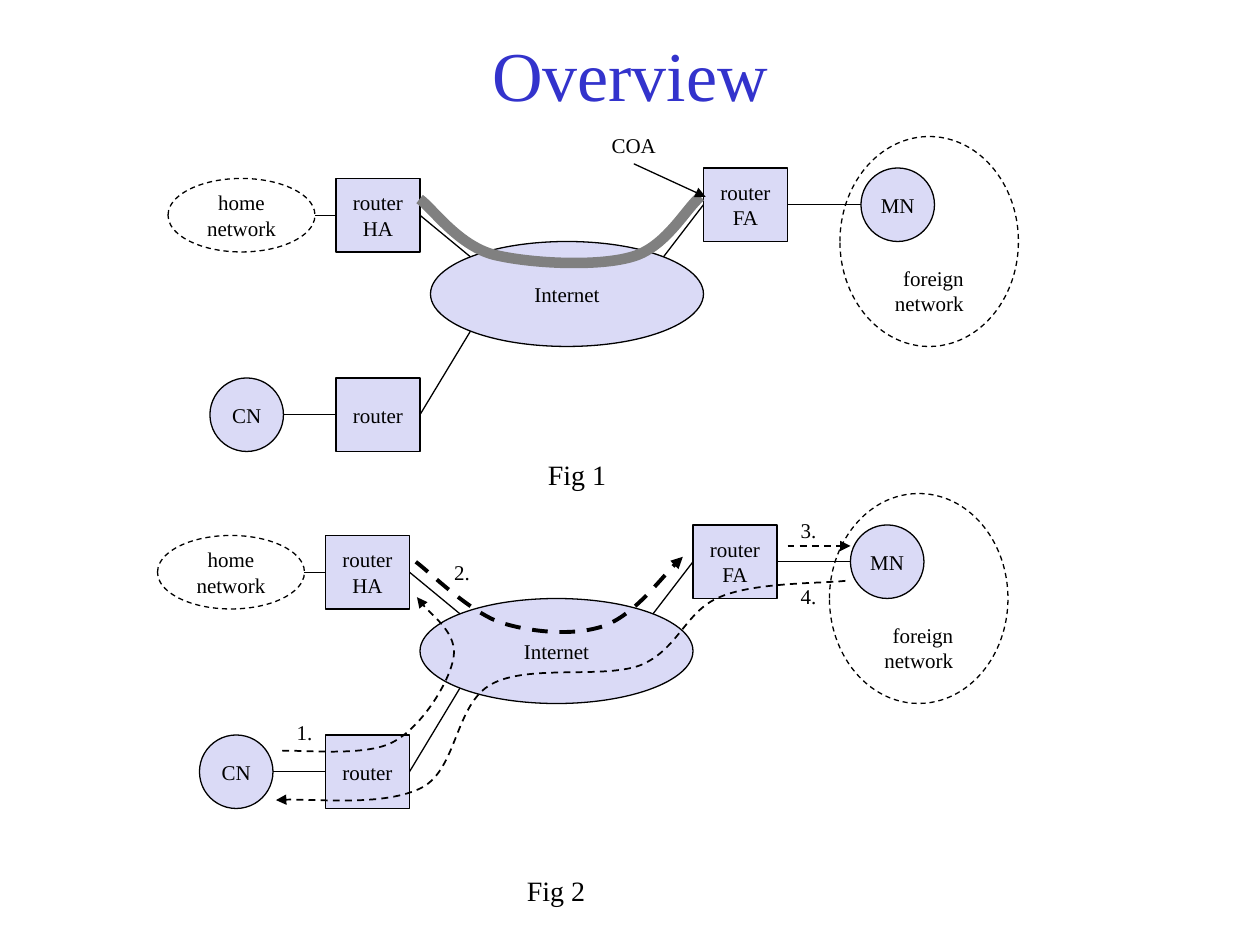
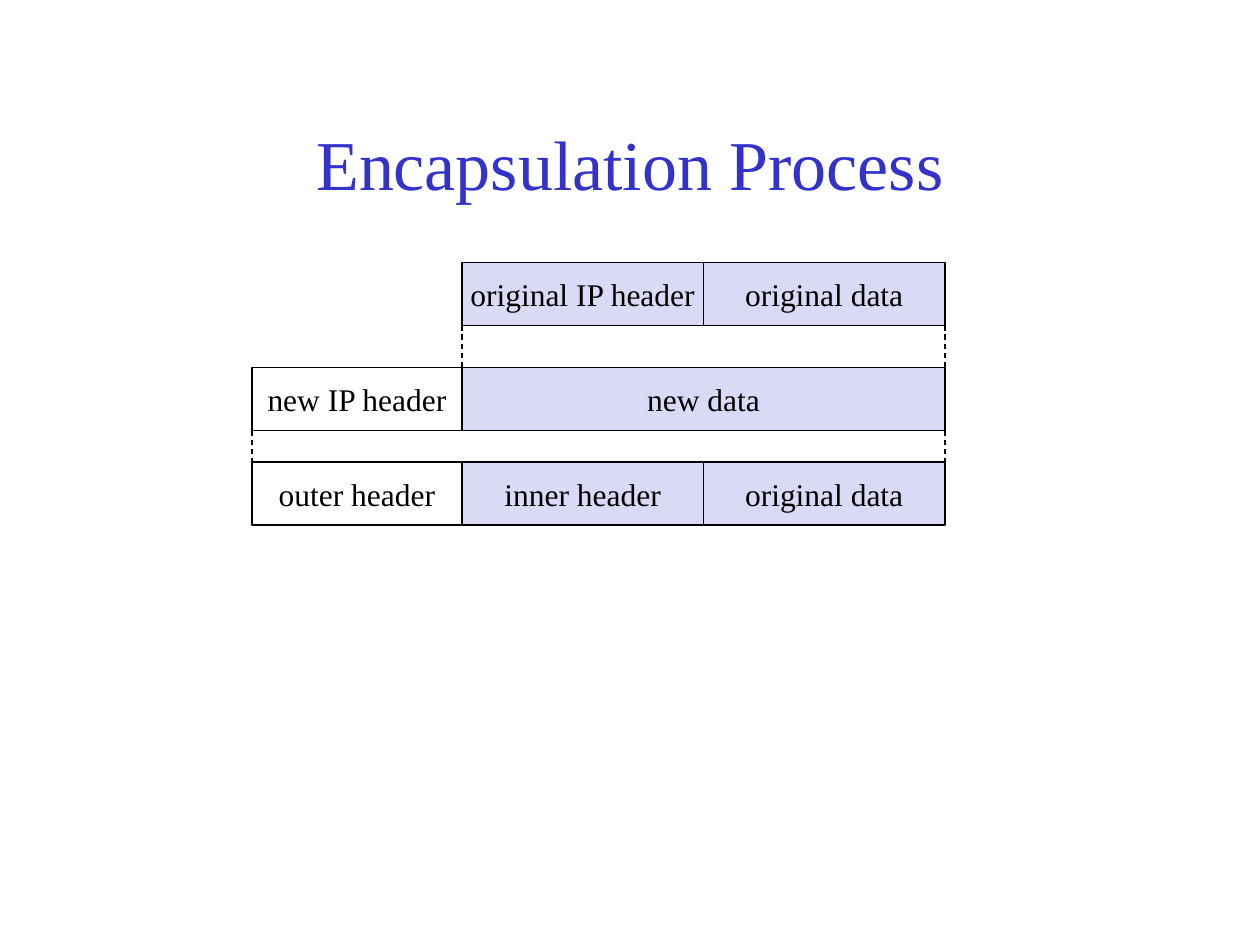
from lxml.etree import SubElement
from pptx import Presentation
from pptx.dml.color import RGBColor
from pptx.enum.dml import MSO_LINE
from pptx.enum.shapes import MSO_CONNECTOR, MSO_SHAPE
from pptx.enum.text import MSO_ANCHOR, MSO_AUTO_SIZE, PP_ALIGN
from pptx.oxml.ns import qn
from pptx.util import Pt

FONT = "Times New Roman"
BLACK, WHITE, GRAY = "000000", "FFFFFF", "808080"
TITLE_BLUE, LAVENDER = "3333CC", "DADAF6"
DIAGONAL = 0.5 ** 0.5


def color(hex_code):
    return RGBColor.from_string(hex_code)


def write_text(frame, text, size=12, hex_code=BLACK, align=PP_ALIGN.CENTER,
               anchor=MSO_ANCHOR.MIDDLE, wrap=False, fit=MSO_AUTO_SIZE.NONE,
               margins=(7.2, 3.6, 7.2, 3.6)):
    frame.text = text
    frame.auto_size = fit
    frame.word_wrap = wrap
    frame.vertical_anchor = anchor
    (frame.margin_left, frame.margin_top,
     frame.margin_right, frame.margin_bottom) = map(Pt, margins)
    for paragraph in frame.paragraphs:
        paragraph.alignment = align
        paragraph.font.name = FONT
        paragraph.font.size = Pt(size)
        paragraph.font.color.rgb = color(hex_code)


def style_line(line, hex_code=BLACK, width=0.75, dashed=False, arrow=False):
    line.color.rgb = color(hex_code)
    line.width = Pt(width)
    if dashed:
        line.dash_style = MSO_LINE.DASH
    if arrow:
        SubElement(line._get_or_add_ln(), qn("a:tailEnd"), type="triangle")


def add_box(slide, kind, box, text, fill=LAVENDER, dashed=False, **text_format):
    shape = slide.shapes.add_shape(kind, *map(Pt, box))
    shape.shadow.inherit = False
    if fill:
        shape.fill.solid()
        shape.fill.fore_color.rgb = color(fill)
    else:
        shape.fill.background()
    style_line(shape.line, dashed=dashed)
    write_text(shape.text_frame, text, **text_format)


def add_label(slide, box, text, **text_format):
    shape = slide.shapes.add_textbox(*map(Pt, box))
    write_text(shape.text_frame, text, align=PP_ALIGN.LEFT, anchor=MSO_ANCHOR.TOP,
               fit=MSO_AUTO_SIZE.SHAPE_TO_FIT_TEXT, **text_format)


def add_line(slide, start, end, **line_format):
    connector = slide.shapes.add_connector(
        MSO_CONNECTOR.STRAIGHT, *map(Pt, (*start, *end)))
    style_line(connector.line, **line_format)
    SubElement(connector.element.spPr, qn("a:effectLst"))


def add_curve(slide, points, **line_format):
    """Draw cubic curves: a start point, then two controls and an end for each."""
    points = [(Pt(x), Pt(y)) for x, y in points]
    builder = slide.shapes.build_freeform(*points[0])
    builder.add_line_segments(points[1:], close=False)
    shape = builder.convert_to_shape()
    shape.shadow.inherit = False
    shape.fill.background()
    style_line(shape.line, **line_format)
    segments = list(shape.element.iter(qn("a:lnTo")))
    for first in range(0, len(segments), 3):
        curve = SubElement(segments[first].getparent(), qn("a:cubicBezTo"))
        for segment in segments[first:first + 3]:
            curve.append(segment[0])
            segment.getparent().remove(segment)


def add_titled_slide(presentation, title, top, height):
    slide = presentation.slides.add_slide(presentation.slide_layouts[5])
    shape = slide.shapes.title
    shape.left, shape.top, shape.width, shape.height = map(Pt, (54, top, 612, height))
    write_text(shape.text_frame, title, size=40, hex_code=TITLE_BLUE, wrap=True)
    return slide


def mover(left, top):
    """Return a function that shifts a point or box into the region at left, top."""
    return lambda x, y, *size: (left + x, top + y, *size)


def draw_network(slide, left, top):
    at = mover(left, top)
    ellipse, rectangle = MSO_SHAPE.OVAL, MSO_SHAPE.RECTANGLE
    nodes = [
        (ellipse, (24, 138, 42, 42), "CN"),
        (rectangle, (96, 24, 48, 42), "router\nHA"),
        (rectangle, (306, 18, 48, 42), "router\nFA"),
        (ellipse, (150, 60, 156, 60), "Internet"),
        (rectangle, (96, 138, 48, 42), "router"),
        (ellipse, (396, 18, 42, 42), "MN"),
    ]
    for kind, box, text in nodes:
        add_box(slide, kind, at(*box), text)
    add_box(slide, ellipse, at(0, 24, 84, 42), "home\nnetwork", fill=None, dashed=True)
    add_box(slide, ellipse, at(384, 0, 102, 120), "foreign\nnetwork", fill=None, dashed=True,
            align=PP_ALIGN.RIGHT, anchor=MSO_ANCHOR.BOTTOM, margins=(0, 0, 16.3, 0))

    # Links meet the Internet ellipse on its diagonals.
    west, east = 228 - 78 * DIAGONAL, 228 + 78 * DIAGONAL
    north, south = 90 - 30 * DIAGONAL, 90 + 30 * DIAGONAL
    links = [
        ((144, 159), (west, south)), ((144, 45), (west, north)),
        ((east, north), (306, 39)), ((66, 159), (96, 159)),
        ((354, 39), (396, 39)), ((84, 45), (96, 45)),
    ]
    for start, end in links:
        add_line(slide, at(*start), at(*end))


def draw_tunnel(slide, left, top):
    at = mover(left, top)
    tunnel = [(143.8, 35.8), (151, 40.8), (165.4, 61.7), (185.5, 67.4), (205.7, 72.5),
              (244.6, 74.6), (264.7, 68.9), (284.2, 63.8), (295.7, 41.5), (304.3, 34.3)]
    add_curve(slide, [at(*point) for point in tunnel], hex_code=GRAY, width=6)
    add_label(slide, at(246.4, -6, 39.6, 21.6), "COA")
    add_line(slide, at(266.2, 15.6), at(307.2, 34.5), arrow=True)
    add_label(slide, at(210, 180, 60, 27), "Fig 1", size=16, wrap=True)


def draw_packet_flow(slide, left, top):
    at = mover(left, top)
    to_home_agent = [
        (71.3, 147.1), (81.4, 146.4), (118.8, 150.7), (134.6, 142.1), (151.2, 133.4),
        (167, 107.5), (169.2, 93.8), (171.4, 80.2), (152.6, 66.5), (148.3, 59.3)]
    to_foreign_agent = [
        (147.6, 39.1), (155.5, 44.9), (177.8, 67.2), (195.8, 73.7), (213.8, 79.4),
        (237.6, 81.6), (254.9, 75.8), (272.2, 69.4), (290.9, 44.2), (300.2, 36.2)]
    back_to_sender = [
        (393.1, 49.9), (380.9, 51.4), (340.6, 50.6), (321.1, 59.3), (301.7, 67.2),
        (297.4, 89.5), (275.8, 98.2), (254.2, 106.1), (211.7, 97.4), (190.8, 109),
        (169.9, 120.5), (171.4, 157.2), (151.2, 168), (130.3, 178.8), (85, 173.8),
        (67.7, 175.2)]
    for points, width in [(to_home_agent, 1), (to_foreign_agent, 2.25), (back_to_sender, 1)]:
        add_curve(slide, [at(*point) for point in points],
                  width=width, dashed=True, arrow=True)
    add_line(slide, at(360, 30), at(396, 30), width=1, dashed=True, arrow=True)

    step_places = [(72.4, 125.5), (162.4, 34.1), (360.4, 10), (360.4, 47.8)]
    for number, place in enumerate(step_places, start=1):
        add_label(slide, at(*place, 24, 21.6), f"{number}.")
    add_label(slide, at(204, 213.4, 60, 27), "Fig 2", size=16, wrap=True)


def draw_encapsulation(slide, left, top):
    at = mover(left, top)
    edges = [0, 120, 258, 396]
    height = 36
    rows = [
        (0, [(1, 2, "original IP header"), (2, 3, "original data")]),
        (60, [(1, 3, "new data"), (0, 1, "new IP header")]),
        (114, [(0, 1, "outer header"), (1, 2, "inner header"), (2, 3, "original data")]),
    ]
    for y, fields in rows:
        for first, last, text in fields:
            box = at(edges[first], y, edges[last] - edges[first], height)
            add_box(slide, MSO_SHAPE.RECTANGLE, box, text, size=18,
                    fill=WHITE if first == 0 else LAVENDER)
    for y, guides in [(height, (1, 3)), (60 + height, (0, 3))]:
        for guide in guides:
            add_line(slide, at(edges[guide], y), at(edges[guide], y + 24), dashed=True)


def main():
    presentation = Presentation()
    presentation.slide_width, presentation.slide_height = Pt(720), Pt(540)

    overview = add_titled_slide(presentation, "Overview", top=24, height=36)
    for draw_details, left, top in [(draw_packet_flow, 90, 282), (draw_tunnel, 96, 78)]:
        draw_network(overview, left, top)
        draw_details(overview, left, top)

    encapsulation = add_titled_slide(presentation, "Encapsulation Process", top=48, height=90)
    draw_encapsulation(encapsulation, 144, 150)

    presentation.save("out.pptx")


if __name__ == "__main__":
    main()
